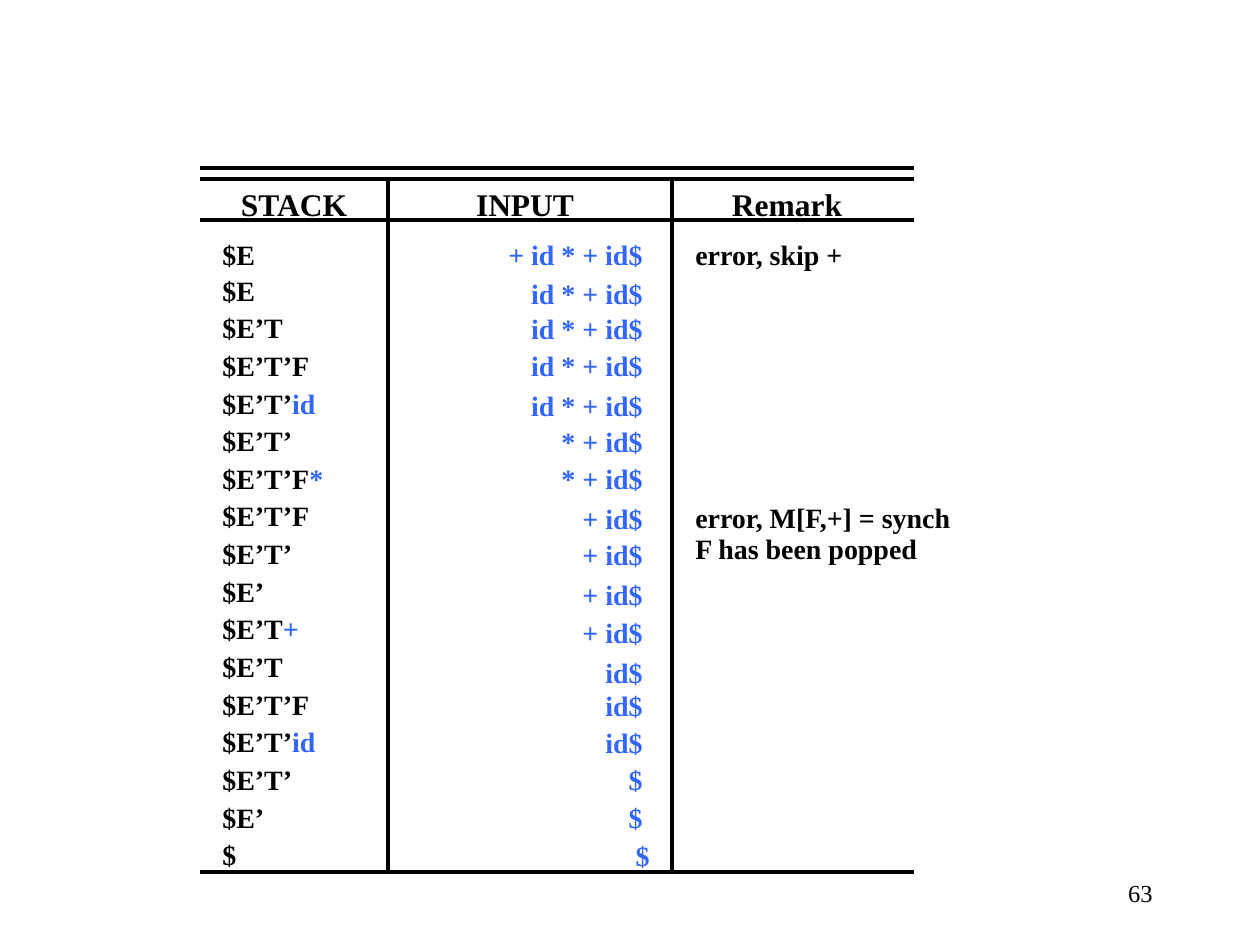
from lxml import etree
from pptx import Presentation
from pptx import util as u
from pptx.dml.color import RGBColor
from pptx.enum import shapes, text
from pptx.oxml.ns import qn

PX = 914400 / 126
BLACK, BLUE = "000000", "3366FF"
LEFT, CENTER, RIGHT = text.PP_ALIGN.LEFT, text.PP_ALIGN.CENTER, text.PP_ALIGN.RIGHT

prs = Presentation()
prs.slide_width, prs.slide_height = u.Inches(10), u.Inches(7.5)
s = prs.slides.add_slide(prs.slide_layouts[6])


def px(n):
    return u.Emu(round(n * PX))


def add_text(box, lines, size=16, align=LEFT, bold=True, before=10):
    """Each line is (line spacing, [(words, colour), ...])."""
    sp = s.shapes.add_textbox(*[px(n) for n in box])
    tf = sp.text_frame
    tf.word_wrap = True
    for i, (spacing, runs) in enumerate(lines):
        p = tf.paragraphs[0] if i == 0 else tf.add_paragraph()
        p.alignment = align
        p.line_spacing = spacing
        if i:
            p.space_before = u.Pt(before)
        p.font.name, p.font.size, p.font.bold = "Times New Roman", u.Pt(size), bold
        for words, colour in runs:
            r = p.add_run()
            r.text = words
            r.font.color.rgb = RGBColor.from_string(colour)
    return tf


# Slide number
tf = add_text((903, 861, 262, 63), [(1.0, [("63", BLACK)])], 14, RIGHT, bold=False)
tf.vertical_anchor = text.MSO_ANCHOR.MIDDLE

# Rules of the parse table
rules = [(200, y, 914, y) for y in (168, 179, 220, 872)]
rules += [(x, 179, x, 872) for x in (672, 388)]
for rule in rules:
    line = s.shapes.add_connector(shapes.MSO_CONNECTOR.STRAIGHT, *[px(n) for n in rule])
    line.line.color.rgb = RGBColor.from_string(BLACK)
    line.line.width = u.Pt(2)
    etree.SubElement(line._element.spPr, qn("a:effectLst"))

# Parser moves: stack, terminal on top, stack spacing, input, input spacing
moves = [
    ("$E", "", 1.0, "+ id * + id$ ", 1.0),
    ("$E", "", 0.5, "id * + id$ ", 0.6),
    ("$E’T", "", 0.6, "id * + id$ ", 0.5),
    ("$E’T’F", "", 0.6, "id * + id$ ", 0.6),
    ("$E’T’", "id", 0.6, "id * + id$ ", 0.7),
    ("$E’T’", "", 0.6, "* + id$ ", 0.5),
    ("$E’T’F", "*", 0.6, "* + id$ ", 0.6),
    ("$E’T’F", "", 0.6, "+ id$ ", 0.7),
    ("$E’T’", "", 0.6, "+ id$ ", 0.5),
    ("$E’", "", 0.6, "+ id$ ", 0.7),
    ("$E’T", "+", 0.6, "+ id$ ", 0.6),
    ("$E’T", "", 0.6, "id$ ", 0.7),
    ("$E’T’F", "", 0.6, "id$ ", 0.4),
    ("$E’T’", "id", 0.6, "id$ ", 0.6),
    ("$E’T’", "", 0.6, "$ ", 0.6),
    ("$E’", "", 0.6, "$ ", 0.6),
    ("$", "", 0.6, "$", 0.6),
]
stack_lines, input_lines = [], []
for stack, top, stack_gap, rest, input_gap in moves:
    runs = [(stack, BLACK)] + ([(top, BLUE)] if top else [])
    stack_lines.append((stack_gap, runs))
    input_lines.append((input_gap, [(rest, BLUE)]))
add_text((210, 231, 158, 645), stack_lines)
add_text((410, 231, 252, 646), input_lines, align=RIGHT)

# Column headings
for x, heading in ((210, "STACK"), (441, "INPUT"), (703, "Remark")):
    add_text((x, 179, 168, 50), [(1.0, [(heading, BLACK)])], 18, CENTER)

# Remarks
remarks = [
    (494, 315, "error, M[F,+] = synch"),
    (525, 252, "F has been popped"),
    (231, 210, "error, skip +"),
]
for y, width, remark in remarks:
    add_text((683, y, width, 47), [(1.0, [(remark, BLACK)])])

prs.save("out.pptx")
